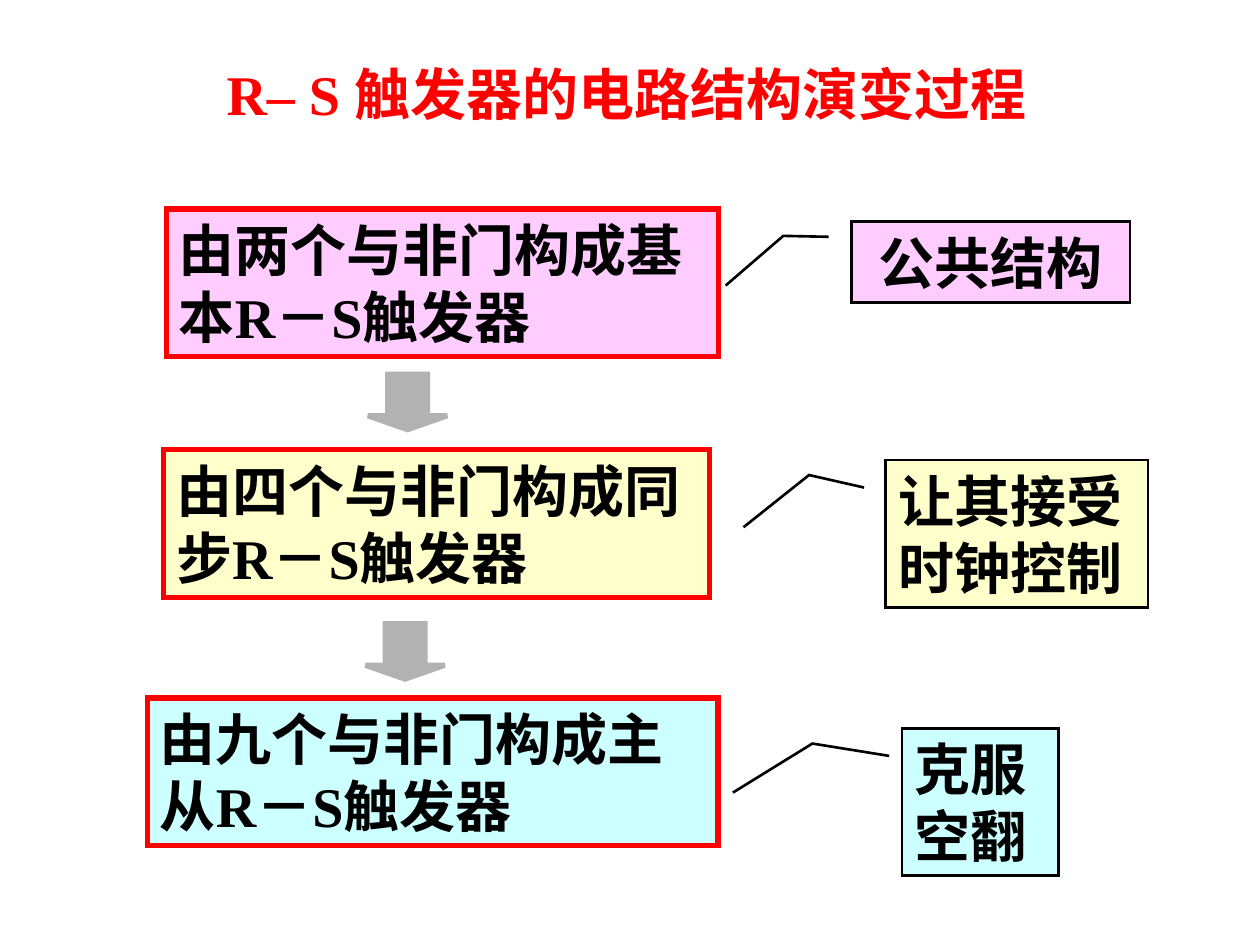
"""Slide on how the circuit structure of the R-S flip-flop evolves."""
from lxml import etree
from pptx import Presentation
from pptx.dml.color import RGBColor
from pptx.enum import shapes, text
from pptx.oxml import ns
from pptx.util import Inches, Pt

COLORS = {
    "red": "FF0000", "black": "000000", "gray": "B2B2B2",
    "pink": "FFCCFF", "yellow": "FFFFCC", "cyan": "CCFFFF",
}


def write(shape, words, color="black", align=text.PP_ALIGN.LEFT, size=32):
    frame = shape.text_frame
    frame.word_wrap = True
    frame.auto_size = text.MSO_AUTO_SIZE.NONE
    frame.vertical_anchor = text.MSO_ANCHOR.MIDDLE
    frame.margin_left = frame.margin_right = Inches(0.1)
    frame.margin_top = frame.margin_bottom = Inches(0.05)
    paragraph = frame.paragraphs[0]
    paragraph.alignment = align
    run = paragraph.add_run()
    run.text = words
    run.font.name = "Times New Roman"
    run.font.size = Pt(size)
    run.font.bold = True
    run.font.color.rgb = RGBColor.from_string(COLORS[color])


def add_block(kind, left, top, width, height, fill, line, weight):
    block = slide.shapes.add_shape(
        kind, Inches(left), Inches(top), Inches(width), Inches(height))
    block.shadow.inherit = False
    block.fill.solid()
    block.fill.fore_color.rgb = RGBColor.from_string(COLORS[fill])
    block.line.color.rgb = RGBColor.from_string(COLORS[line])
    block.line.width = Pt(weight)
    outline = block.line._get_or_add_ln()
    etree.SubElement(outline, ns.qn("a:miter"), lim="800000")
    return block


deck = Presentation()
deck.slide_width, deck.slide_height = Inches(10), Inches(7.5)
slide = deck.slides.add_slide(deck.slide_layouts[5])

heading = slide.shapes.title
heading.left, heading.top = Inches(0.49), Inches(0.42)
heading.width, heading.height = Inches(8.97), Inches(0.64)
write(heading, "R– S 触发器的电路结构演变过程", color="red", align=text.PP_ALIGN.CENTER)

stages = [
    ("由两个与非门构成基本R－S触发器", 1.32, 1.66, 4.38, "pink"),
    ("由四个与非门构成同步R－S触发器", 1.3, 3.57, 4.33, "yellow"),
    ("由九个与非门构成主从R－S触发器", 1.17, 5.54, 4.53, "cyan"),
]
for words, left, top, width, fill in stages:
    stage = add_block(shapes.MSO_SHAPE.RECTANGLE, left, top, width, 1.17, fill, "red", 3)
    write(stage, words)

for left, top in [(2.92, 2.97), (2.9, 4.95)]:
    step = add_block(shapes.MSO_SHAPE.DOWN_ARROW, left, top, 0.63, 0.44, "gray", "gray", 3)
    step.adjustments[0], step.adjustments[1] = 0.5, 0.25

remarks = [
    ("公共结构", 6.76, 1.76, 2.21, 0.64, "pink", text.PP_ALIGN.CENTER,
     (0.176, -0.246, 0.792, -0.453)),
    ("让其接受时钟控制", 7.03, 3.65, 2.08, 1.17, "yellow", text.PP_ALIGN.LEFT,
     (0.103, -0.293, 0.457, -0.543)),
    ("克服空翻", 7.16, 5.78, 1.24, 1.17, "cyan", text.PP_ALIGN.LEFT,
     (0.104, -0.574, 0.437, -1.083)),
]
for words, left, top, width, height, fill, align, leader in remarks:
    remark = add_block(shapes.MSO_SHAPE.LINE_CALLOUT_2, left, top, width, height,
                       fill, "black", 1.5)
    for index, value in enumerate((0.188, -0.083) + leader):
        remark.adjustments[index] = value
    write(remark, words, align=align)

deck.save("out.pptx")
